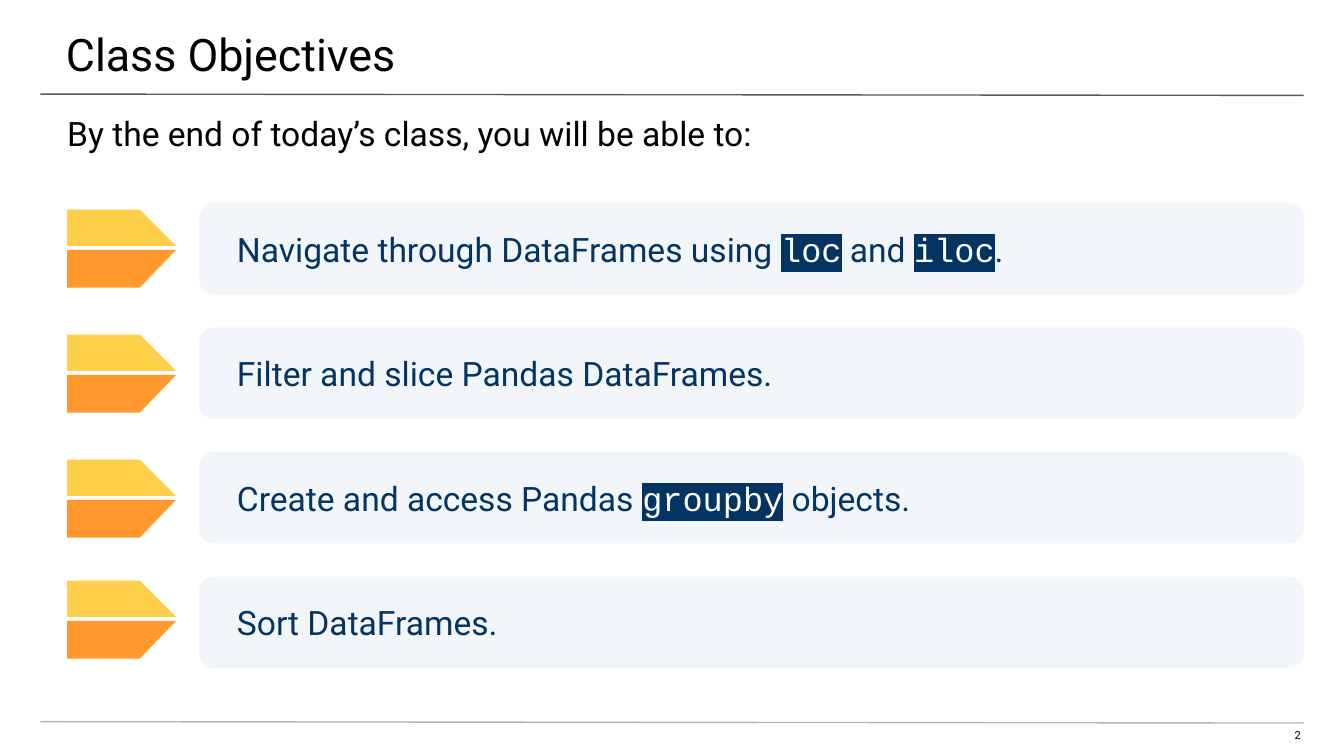
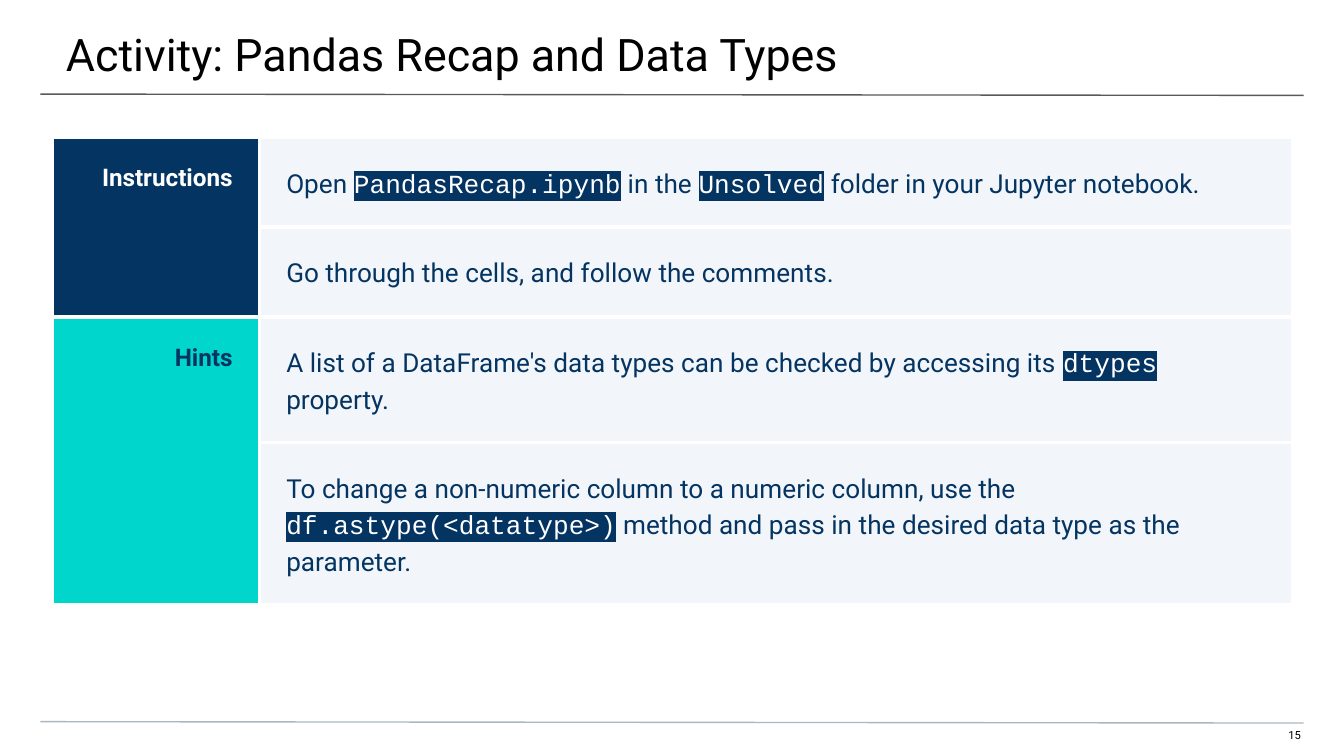
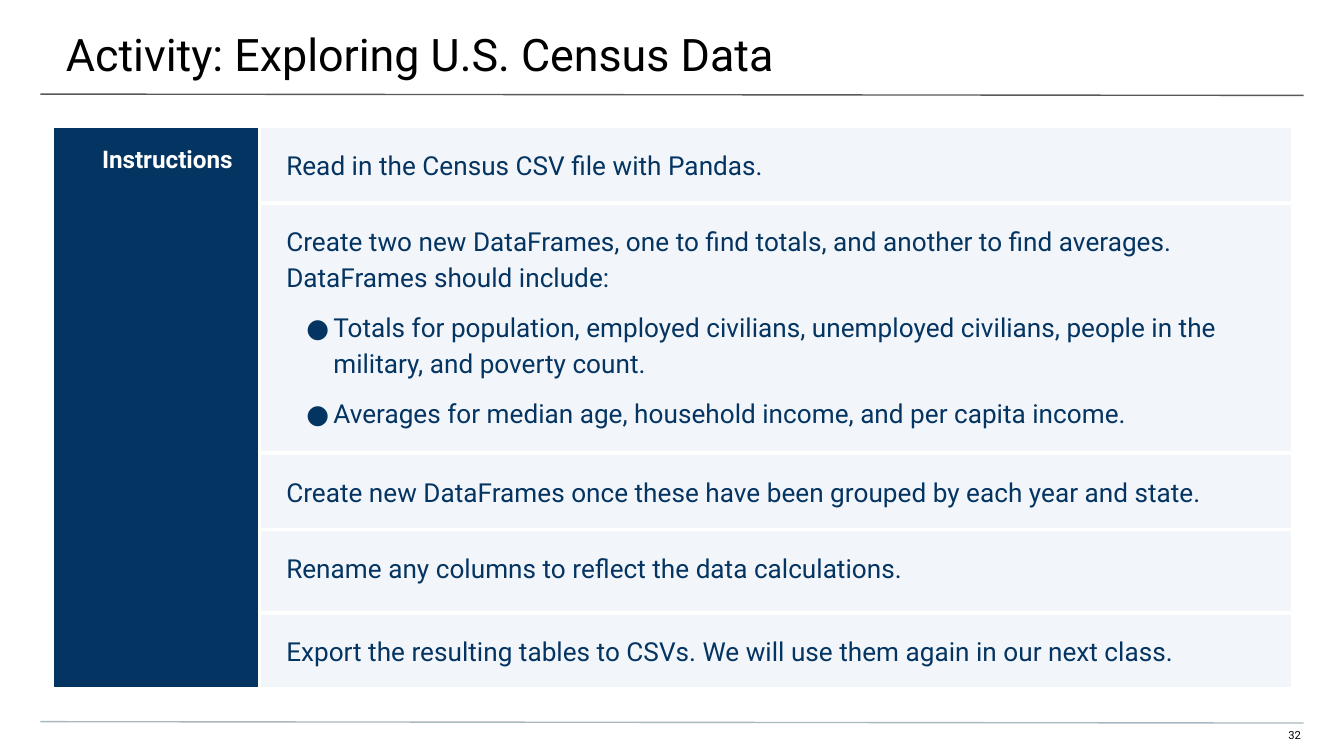
import pptx
import pptx.dml.color
import pptx.enum.shapes
import pptx.enum.text
import pptx.oxml.ns
import pptx.util
from lxml import etree

Inches = pptx.util.Inches
Pt = pptx.util.Pt
Align = pptx.enum.text.PP_ALIGN
Anchor = pptx.enum.text.MSO_ANCHOR
qn = pptx.oxml.ns.qn

HUES = {
    "black": "000000", "white": "FFFFFF", "navy": "043461", "teal": "00D6CB",
    "pale": "F2F5F9", "gold": "FECF48", "amber": "FF992D",
    "rule": "595959", "foot": "A9B7C0",
}
SANS, MONO = "Roboto", "Courier New"
LEFT = {"alignment": Align.LEFT}
RIGHT = {"alignment": Align.RIGHT}
BODY = {"alignment": Align.LEFT, "line_spacing": 1.15}

GOALS = [
    (1.56, "Navigate through DataFrames using `loc` and `iloc`."),
    (2.49, "Filter and slice Pandas DataFrames."),
    (3.42, "Create and access Pandas `groupby` objects."),
    (4.32, "Sort DataFrames."),
]
RECAP = [
    ("Instructions", "navy", "white", [
        (0.52, ["Open `PandasRecap.ipynb` in the `Unsolved` folder in your Jupyter notebook."]),
        (0.62, ["Go through the cells, and follow the comments."]),
    ]),
    ("Hints", "teal", "navy", [
        (0.53, ["A list of a DataFrame's data types can be checked by accessing its `dtypes` property."]),
        (0.95, ["To change a non-numeric column to a numeric column, use the "
                "`df.astype(<datatype>)` method and pass in the desired data type as the parameter."]),
    ]),
]
CENSUS = [
    ("Instructions", "navy", "white", [
        (0.51, ["Read in the Census CSV file with Pandas."]),
        (1.74, ["Create two new DataFrames, one to find totals, and another to find averages. "
                "DataFrames should include:",
                "● Totals for population, employed civilians, unemployed civilians, "
                "people in the military, and poverty count.",
                "● Averages for median age, household income, and per capita income."]),
        (0.53, ["Create new DataFrames once these have been grouped by each year and state."]),
        (0.62, ["Rename any columns to reflect the data calculations."]),
        (0.45, ["Export the resulting tables to CSVs. We will use them again in our next class."]),
    ]),
]


def put(item, look):
    """Set each attribute of a format dict."""
    for name, value in look.items():
        setattr(item, name, value)


def rgb(hue):
    """Return a named colour."""
    return pptx.dml.color.RGBColor.from_string(HUES[hue])


def paint(item, hue):
    """Fill a shape or cell with one colour."""
    item.fill.solid()
    item.fill.fore_color.rgb = rgb(hue)


def inset(item, sides):
    """Set left, top, right and bottom margins in inches."""
    names = ("margin_left", "margin_top", "margin_right", "margin_bottom")
    put(item, dict(zip(names, map(Inches, sides))))


def child(parent, tag, **attrs):
    """Add a drawing element below a parent."""
    return etree.SubElement(parent, qn("a:" + tag), attrs)


def write(para, text, size, hue, bold=False):
    """Write runs, with code between backticks highlighted."""
    for i, part in enumerate(text.split("`")):
        if not part:
            continue
        code = i % 2 == 1
        run = para.add_run()
        run.text = part
        put(run.font, {"size": Pt(size), "bold": bold, "name": MONO if code else SANS})
        run.font.color.rgb = rgb("white" if code else hue)
        if code:
            mark = etree.Element(qn("a:highlight"))
            child(mark, "srgbClr", val=HUES["navy"])
            run.font.fill._xPr.find(qn("a:solidFill")).addnext(mark)


def bullet(para):
    """Give a paragraph a round bullet and hanging indent."""
    props = para._p.get_or_add_pPr()
    props.set("marL", str(Inches(0.35)))
    props.set("indent", str(Inches(-0.2)))
    child(child(props, "buClr"), "srgbClr", val=HUES["navy"])
    child(props, "buFont", typeface=SANS)
    child(props, "buChar", char="●")
    para.space_before = Pt(8)


def plain(para):
    """Remove the bullet and indent of a placeholder paragraph."""
    props = para._p.get_or_add_pPr()
    put(para, {"space_before": Pt(0)})
    props.set("marL", "0")
    props.set("indent", "0")
    child(props, "buNone")


def place(item, box):
    """Move a placeholder to a box."""
    put(item, dict(zip(("left", "top", "width", "height"), map(Inches, box))))


def label(item, box, sides, text, size):
    """Fill a placeholder with one plain line."""
    place(item, box)
    frame = item.text_frame
    put(frame, {"word_wrap": True, "vertical_anchor": Anchor.TOP,
                "auto_size": pptx.enum.text.MSO_AUTO_SIZE.NONE})
    inset(frame, sides)
    para = frame.paragraphs[0]
    plain(para)
    put(para, LEFT)
    write(para, text, size, "black")


def rule(slide, top, hue):
    """Draw a thin line across the slide."""
    line = slide.shapes.add_connector(
        pptx.enum.shapes.MSO_CONNECTOR.STRAIGHT,
        Inches(0.3), Inches(top), Inches(9.7), Inches(top + 0.01))
    line.line.width = Pt(0.75)
    line.line.color.rgb = rgb(hue)
    child(line.element.spPr, "effectLst")


def start(deck, layout, title, page):
    """Add a slide with its title, rules and page number."""
    slide = deck.slides.add_slide(deck.slide_layouts[layout])
    rule(slide, 0.7, "rule")
    rule(slide, 5.37, "foot")
    box = slide.shapes.add_textbox(*map(Inches, (9.41, 5.42, 0.29, 0.12)))
    box.text_frame.word_wrap = True
    inset(box.text_frame, (0, 0, 0.02, 0.1))
    para = box.text_frame.paragraphs[0]
    put(para, RIGHT)
    write(para, str(page), 6, "black")
    label(slide.shapes.title, (-0.01, 0, 10.03, 0.58), (0.5, 0.2, 0.3, 0.1), title, 24)
    return slide


def wedge(slide, left, wide, flat, hue):
    """Draw half an arrow between its wide and flat edges."""
    spots = [(left, wide), (left + 0.81, wide), (left + 0.54, flat), (left, flat)]
    points = [(Inches(x), Inches(y)) for x, y in spots]
    build = slide.shapes.build_freeform(*points[0])
    build.add_line_segments(points[1:], close=True)
    shape = build.convert_to_shape()
    shape.shadow.inherit = False
    paint(shape, hue)
    shape.line.fill.background()


def arrow(slide, left, top):
    """Draw a two-tone arrow."""
    wedge(slide, left, top + 0.27, top, "gold")
    wedge(slide, left, top + 0.3, top + 0.58, "amber")


def card(slide, left, top, text):
    """Place a rounded card with one goal."""
    shape = slide.shapes.add_shape(
        pptx.enum.shapes.MSO_SHAPE.ROUNDED_RECTANGLE,
        *map(Inches, (left, top, 8.22, 0.68)))
    shape.shadow.inherit = False
    paint(shape, "pale")
    shape.line.fill.background()
    frame = shape.text_frame
    put(frame, {"word_wrap": True, "vertical_anchor": Anchor.MIDDLE})
    inset(frame, (0.25, 0.1, 0.1, 0.1))
    put(frame.paragraphs[0], LEFT)
    write(frame.paragraphs[0], text, 18, "navy")


def goals(deck):
    """Build the slide of class goals."""
    slide = start(deck, 1, "Class Objectives", 2)
    label(slide.placeholders[1], (0, 0.74, 10, 0.4), (0.5, 0.1, 0.5, 0),
          "By the end of today’s class, you will be able to:", 18)
    first, last = 1.51, 4.29
    step = (last - first) / (len(GOALS) - 1)
    for i, (top, text) in enumerate(GOALS):
        arrow(slide, 0.5, top)
        card(slide, 1.48, first + i * step, text)


def dress(cell, hue, pad):
    """Give a cell its margins, white borders and fill."""
    inset(cell, (0.2, pad, 0.2, pad))
    props = cell._tc.get_or_add_tcPr()
    for side in ("lnL", "lnR", "lnT", "lnB"):
        edge = child(props, side, w=str(Pt(2.25)))
        child(child(edge, "solidFill"), "srgbClr", val=HUES["white"])
    paint(cell, hue)


def fill(cell, lines):
    """Write the paragraphs of a task cell."""
    frame = cell.text_frame
    for i, text in enumerate(lines):
        para = frame.add_paragraph() if i else frame.paragraphs[0]
        if text.startswith("● "):
            bullet(para)
        put(para, BODY)
        write(para, text.removeprefix("● "), 14, "navy")


def task(deck, title, page, top, pad, groups):
    """Build an activity slide with a table of grouped steps."""
    slide = start(deck, 5, title, page)
    rows = [row for group in groups for row in group[3]]
    high = sum(row[0] for row in rows)
    grid = slide.shapes.add_table(
        len(rows), 2, *map(Inches, (0.39, top, 9.23, high))).table
    put(grid, {"first_row": False, "horz_banding": False})
    for col, wide in zip(grid.columns, (1.54, 7.69)):
        col.width = Inches(wide)
    at = 0
    for name, back, ink, steps in groups:
        for i, (tall, lines) in enumerate(steps, at):
            grid.rows[i].height = Inches(tall)
            dress(grid.cell(i, 0), back, pad)
            dress(grid.cell(i, 1), "pale", pad)
            fill(grid.cell(i, 1), lines)
        head = grid.cell(at, 0)
        at += len(steps)
        head.merge(grid.cell(at - 1, 0))
        para = head.text_frame.paragraphs[0]
        put(para, RIGHT)
        write(para, name, 13, ink, True)


def main():
    """Build and save the deck."""
    deck = pptx.Presentation()
    wide = Inches(10)
    put(deck, {"slide_width": wide, "slide_height": wide * 9 // 16})
    goals(deck)
    task(deck, "Activity: Pandas Recap and Data Types", 15, 1.02, 0.2, RECAP)
    task(deck, "Activity: Exploring U.S. Census Data", 32, 0.94, 0.15, CENSUS)
    deck.save("out.pptx")


if __name__ == "__main__":
    main()
